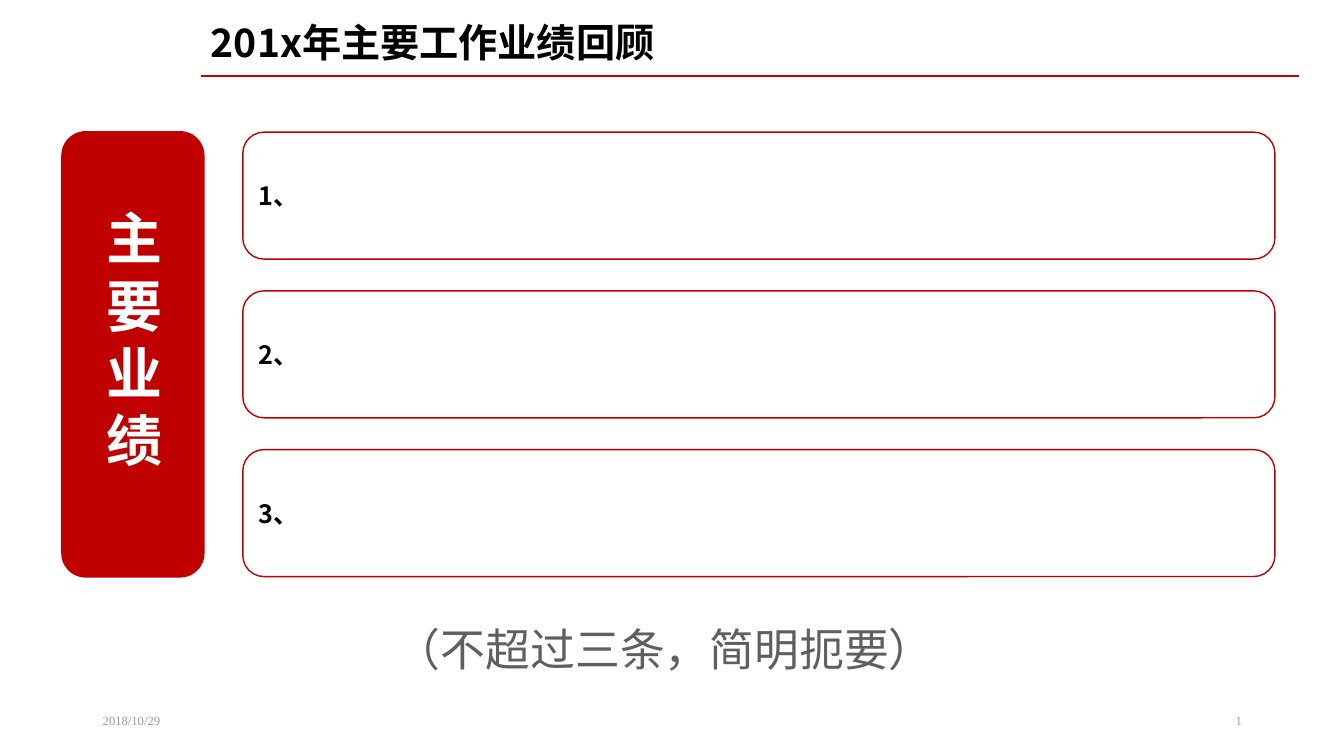
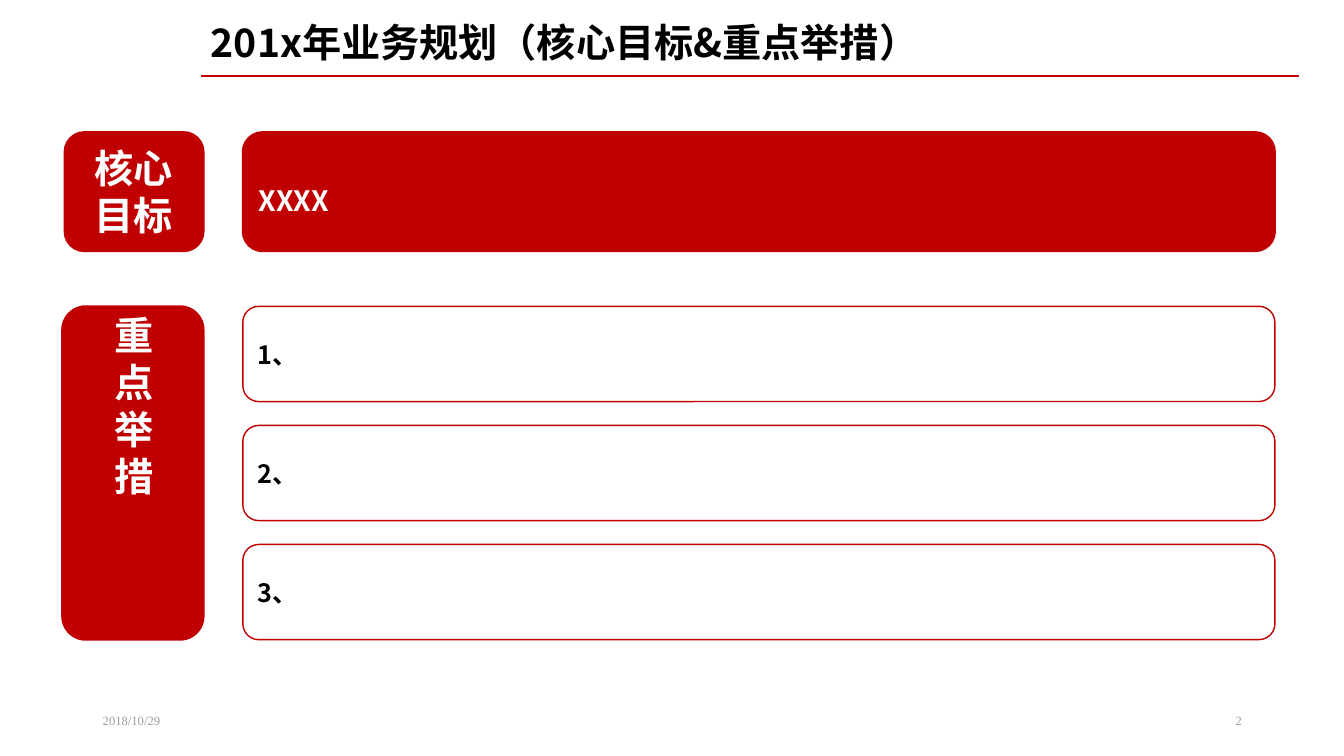
"""Build two red-and-white business review slides: results and plan."""
from dataclasses import dataclass, field

from lxml import etree
from pptx import Presentation
from pptx.dml.color import RGBColor
from pptx.enum.shapes import MSO_CONNECTOR, MSO_SHAPE
from pptx.enum.text import MSO_ANCHOR, MSO_AUTO_SIZE, PP_ALIGN
from pptx.oxml.ns import qn
from pptx.util import Cm, Pt

ROUND = MSO_SHAPE.ROUNDED_RECTANGLE
STRAIGHT = MSO_CONNECTOR.STRAIGHT
LEFT, CENTER, RIGHT = PP_ALIGN.LEFT, PP_ALIGN.CENTER, PP_ALIGN.RIGHT
TOP, MIDDLE = MSO_ANCHOR.TOP, MSO_ANCHOR.MIDDLE
FIXED, GROW = MSO_AUTO_SIZE.NONE, MSO_AUTO_SIZE.SHAPE_TO_FIT_TEXT

COLORS = {"red": "C00000", "white": "FFFFFF", "black": "000000",
          "grey": "5F5F5F", "footer": "9D9D9D"}
SANS, SERIF = "Noto Sans CJK SC", "Times New Roman"
TITLE_ONLY = 5
ROW_LEFT, ROW_WIDTH = 6.12, 26.01
BODY_TOP = 3.33


@dataclass(frozen=True)
class Style:
    size: float
    color: str
    name: str = SANS
    bold: bool = True
    para: dict = field(default_factory=lambda: {"alignment": LEFT})
    frame: dict = field(default_factory=lambda: {"vertical_anchor": MIDDLE})


@dataclass(frozen=True)
class Box:
    left: float
    top: float
    width: float
    height: float

    def cm(self) -> list:
        return [Cm(v) for v in (self.left, self.top, self.width, self.height)]


@dataclass(frozen=True)
class Rows:
    top: float
    height: float
    gap: float
    count: int = 3

    @property
    def total(self) -> float:
        return self.count * self.height + (self.count - 1) * self.gap


CENTERED = {"alignment": CENTER}
GROW_MIDDLE = {"vertical_anchor": MIDDLE, "auto_size": GROW}
GROW_TOP = {"vertical_anchor": TOP, "auto_size": GROW}
TITLE = Style(28, "black", para={"alignment": LEFT, "line_spacing": 0.9},
              frame={"vertical_anchor": MIDDLE, "auto_size": FIXED})
ROW = Style(18, "black")
GOAL = Style(20, "white", para={"alignment": LEFT, "line_spacing": 1.5})
BIG_LABEL = Style(40, "white", para=CENTERED, frame=GROW_MIDDLE)
LABEL = Style(28, "white", para=CENTERED, frame=GROW_TOP)
NOTE = Style(32, "grey", SERIF, False,
             frame={**GROW_TOP, "word_wrap": False})
DATE = Style(9, "footer", SERIF, False)
NUMBER = Style(9, "footer", SERIF, False, para={"alignment": RIGHT})


def rgb(key: str) -> RGBColor:
    return RGBColor.from_string(COLORS[key])


def apply(target, values: dict) -> None:
    for key, value in values.items():
        setattr(target, key, value)


def write(sp, text: str, style: Style) -> None:
    tf = sp.text_frame
    apply(tf, {"word_wrap": True, **style.frame})
    tf.text = text
    for p in tf.paragraphs:
        apply(p, style.para)
        for r in p.runs:
            apply(r.font, {"size": Pt(style.size), "name": style.name,
                           "bold": style.bold})
            r.font.color.rgb = rgb(style.color)
            ea = etree.Element(qn("a:ea"), typeface=SANS)
            r.font._element.find(qn("a:latin")).addnext(ea)


def add_text(slide, box: Box, text: str, style: Style, vert: str = "horz"):
    sp = slide.shapes.add_textbox(*box.cm())
    write(sp, text, style)
    sp.text_frame._txBody.bodyPr.set("vert", vert)
    return sp


def add_round(slide, box: Box, filled: bool, weight: float):
    sp = slide.shapes.add_shape(ROUND, *box.cm())
    sp.shadow.inherit = False
    if filled:
        sp.fill.solid()
        sp.fill.fore_color.rgb = rgb("red")
    else:
        sp.fill.background()
    sp.line.color.rgb = rgb("red")
    sp.line.width = Pt(weight)
    return sp


def add_rows(slide, rows: Rows) -> None:
    for i in range(rows.count):
        top = rows.top + i * (rows.height + rows.gap)
        box = Box(ROW_LEFT, top, ROW_WIDTH, rows.height)
        write(add_round(slide, box, False, 1), f"{i + 1}、", ROW)
    add_round(slide, Box(1.57, rows.top, 3.56, rows.total), True, 1.5)


def add_number(slide, number: int) -> None:
    sp = add_text(slide, Box(23.93, 17.65, 7.62, 1.02), str(number), NUMBER)
    r = sp.text_frame.paragraphs[0].runs[0]._r
    r.tag = qn("a:fld")
    r.set("id", "{B6F15528-21DE-4FAA-801E-634DDDAF4B2B}")
    r.set("type", "slidenum")


def add_slide(prs, title: str):
    slide = prs.slides.add_slide(prs.slide_layouts[TITLE_ONLY])
    rule = slide.shapes.add_connector(
        STRAIGHT, Cm(5.06), Cm(1.92), Cm(32.74), Cm(1.92))
    rule.line.color.rgb = rgb("red")
    rule.line.width = Pt(1.5)
    etree.SubElement(rule._element.spPr, qn("a:effectLst"))
    sp = slide.shapes.title
    sp.left, sp.top, sp.width, sp.height = Box(5.06, 0.32, 27.68, 1.6).cm()
    write(sp, title, TITLE)
    add_text(slide, Box(2.34, 17.65, 7.62, 1.02), "2018/10/29", DATE)
    add_number(slide, len(prs.slides))
    return slide


def add_results(prs) -> None:
    slide = add_slide(prs, "201x年主要工作业绩回顾")
    add_text(slide, Box(9.73, 15.54, 14.2, 1.62),
             "（不超过三条，简明扼要）", NOTE)
    add_rows(slide, Rows(BODY_TOP, 3.2, 0.8))
    add_text(slide, Box(2.03, BODY_TOP, 2.72, 10.39), "主要业绩",
             BIG_LABEL, "wordArtVertRtl")


def add_plan(prs) -> None:
    slide = add_slide(prs, "201x年业务规划（核心目标&重点举措）")
    rows = Rows(7.72, 2.4, 0.6)
    add_rows(slide, rows)
    add_text(slide, Box(2.36, rows.top, 2.06, rows.total), "重点举措",
             LABEL, "wordArtVertRtl")
    goal = add_round(slide, Box(ROW_LEFT, BODY_TOP, ROW_WIDTH, 3), True, 1.5)
    write(goal, "XXXX", GOAL)
    add_round(slide, Box(1.63, BODY_TOP, 3.5, 3), True, 1.5)
    add_text(slide, Box(1.57, 3.5, 3.61, 2.64), "核心\n目标", LABEL)


def main() -> None:
    prs = Presentation()
    prs.slide_width, prs.slide_height = Cm(33.87), Cm(19.05)
    add_results(prs)
    add_plan(prs)
    prs.save("out.pptx")


if __name__ == "__main__":
    main()
